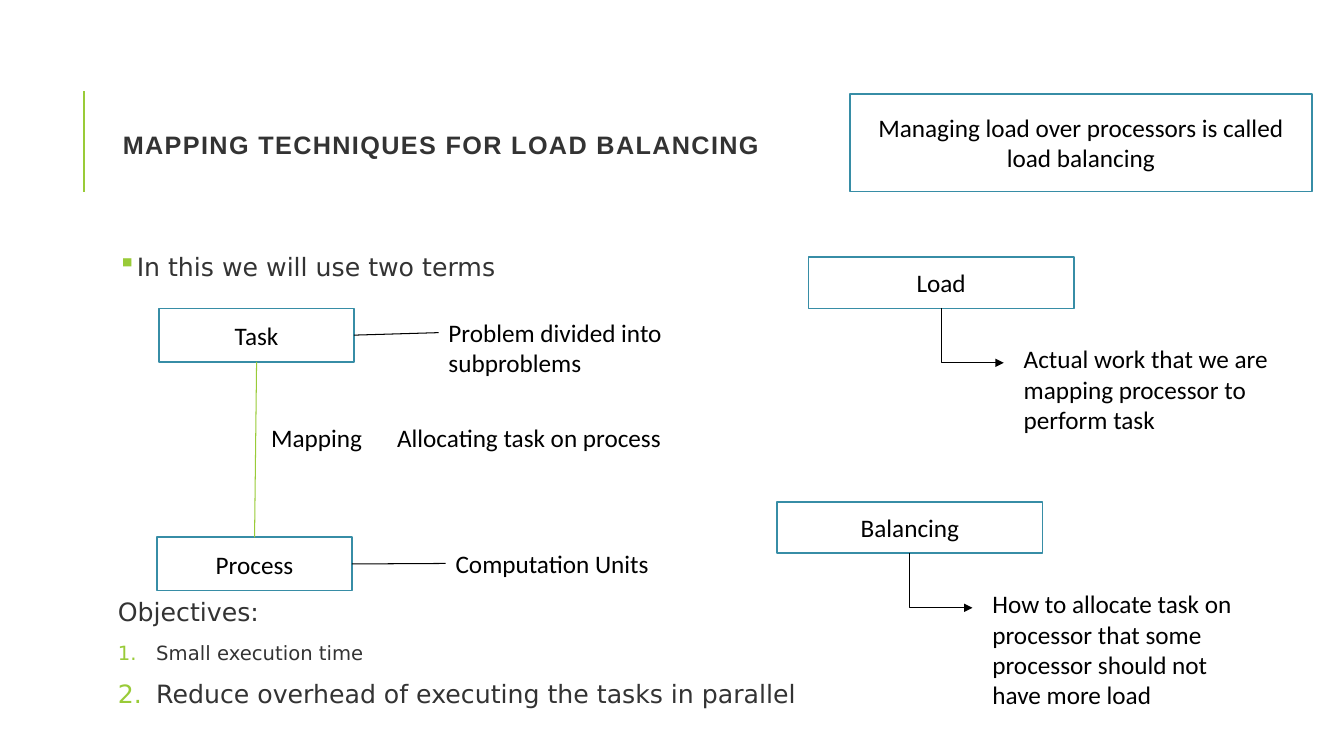
from lxml.etree import SubElement
from pptx import Presentation
from pptx.dml.color import RGBColor
from pptx.enum.shapes import MSO_CONNECTOR as Link, MSO_SHAPE as Preset
from pptx.enum.text import MSO_ANCHOR as Anchor, PP_ALIGN as Align
from pptx.oxml.ns import qn
from pptx.util import Emu, Pt

PX = 9144  # 100 px to the inch
GREEN = RGBColor(0x99, 0xCB, 0x38)
TEAL = RGBColor(0x37, 0x8D, 0xA6)
GREY = RGBColor(0x33, 0x33, 0x33)
BLACK = RGBColor(0, 0, 0)
WHITE = RGBColor(255, 255, 255)

TITLE = "MAPPING TECHNIQUES FOR LOAD BALANCING"
# text, text size, list mark, hanging indent
INTRO = [("In this we will use two terms", 18, "▪", 10)]
OBJECTIVES = [
    ("Objectives:", 18, None, 0),
    ("Small execution time", 14, "number", 38),
    ("Reduce overhead of executing the tasks in parallel", 18, "number", 38),
]
# left, top, width, height
BOXES = {
    "Task": (158, 306, 193, 53),
    "Process": (156, 533, 193, 53),
    "Load": (802, 255, 263, 51),
    "Balancing": (771, 498, 263, 51),
    "Managing load over processors is called load balancing": (843, 93, 458, 97),
}
NOTES = {
    "Mapping": (259, 414, 131, 40),
    "Problem divided into subproblems": (435, 310, 350, 40),
    "Computation Units": (442, 539, 242, 40),
    "Allocating task on process": (384, 414, 314, 40),
}
EXPLANATIONS = {
    "Load": ("Actual work that we are mapping processor to perform task", 101),
    "Balancing": ("How to allocate task on processor that some processor "
                  "should not have more load", 131),
}
# from, site, to, site, colour (sites: 1 left, 2 bottom, 3 right, 0 top)
LINKS = [
    ("Task", 2, "Process", 0, GREEN),
    ("Problem divided into subproblems", 1, "Task", 3, BLACK),
    ("Computation Units", 1, "Process", 3, BLACK),
]
ARROW_RUN, ARROW_DROP = 62, 54


def emu(*lengths):
    return [Emu(int(length * PX)) for length in lengths]


def add_span(para, text, size, font, colour):
    span = para.add_run()
    span.text = text
    span.font.size = Pt(size)
    span.font.name = font
    span.font.color.rgb = colour
    return span


def add_text_box(place):
    box = page.shapes.add_textbox(*emu(*place))
    box.text_frame.word_wrap = True
    return box


def add_note(text, place):
    box = add_text_box(place)
    add_span(box.text_frame.paragraphs[0], text, 18, "Calibri", BLACK)
    return box


def add_term(text, place):
    box = page.shapes.add_shape(Preset.RECTANGLE, *emu(*place))
    box.shadow.inherit = False
    box.fill.solid()
    box.fill.fore_color.rgb = WHITE
    box.line.color.rgb = TEAL
    box.line.width = Pt(1.25)
    frame = box.text_frame
    frame.word_wrap = True
    frame.vertical_anchor = Anchor.MIDDLE
    para = frame.paragraphs[0]
    para.alignment = Align.CENTER
    add_span(para, text, 18, "Calibri", BLACK)
    return box


def add_list(items, place):
    frame = add_text_box(place).text_frame
    frame.margin_left, frame.margin_top, frame.margin_right, frame.margin_bottom = emu(5, 5, 5, 5)
    for index, (text, size, mark, indent) in enumerate(items):
        para = frame.add_paragraph() if index else frame.paragraphs[0]
        if mark:
            props = para._p.get_or_add_pPr()
            props.set("marL", str(indent * PX))
            props.set("indent", str(-indent * PX))
            tint = SubElement(props, qn("a:buClr"))
            SubElement(tint, qn("a:srgbClr"), val=str(GREEN))
            if mark == "number":
                SubElement(props, qn("a:buFont"), typeface="+mj-lt")
                SubElement(props, qn("a:buAutoNum"), type="arabicPeriod")
            else:
                SubElement(props, qn("a:buChar"), char=mark)
        para.alignment = Align.JUSTIFY
        para.line_spacing = 0.8
        para.space_before = Pt(12 if index else 0)
        para.space_after = Pt(2)
        add_span(para, text, size, "DejaVu Sans", GREY)


def add_line(x1, y1, x2, y2, colour, width=0.75):
    line = page.shapes.add_connector(Link.STRAIGHT, *emu(x1, y1, x2, y2))
    line.line.color.rgb = colour
    line.line.width = Pt(width)
    SubElement(line._element.spPr, qn("a:effectLst"))
    return line


def add_bent_arrow(x, y):
    """Go down from (x, y), then right: a flipped elbow turned by 270 degrees."""
    mid_x, mid_y = x + ARROW_RUN / 2, y + ARROW_DROP / 2
    arrow = add_line(mid_x + ARROW_DROP / 2, mid_y - ARROW_RUN / 2,
                     mid_x - ARROW_DROP / 2, mid_y + ARROW_RUN / 2, BLACK)
    props = arrow._element.spPr
    props.find(qn("a:xfrm")).set("rot", str(270 * 60000))
    props.find(qn("a:prstGeom")).set("prst", "bentConnector2")
    SubElement(props.find(qn("a:ln")), qn("a:tailEnd"), type="triangle")


deck = Presentation()
deck.slide_width, deck.slide_height = emu(1333, 750)
page = deck.slides.add_slide(deck.slide_layouts[6])

add_line(83, 190, 83, 90, GREEN, 1.5)
title = add_text_box((112, 64, 1063, 164)).text_frame
title.vertical_anchor = Anchor.MIDDLE
title.paragraphs[0].line_spacing = 0.8
heading = add_span(title.paragraphs[0], TITLE, 18, "Arial", GREY)
heading.font.bold = True
heading._r.get_or_add_rPr().set("spc", "100")

add_list(INTRO, (112, 250, 600, 40))
add_list(OBJECTIVES, (112, 592, 840, 145))

parts = {text: add_term(text, place) for text, place in BOXES.items()}
parts.update({text: add_note(text, place) for text, place in NOTES.items()})

for start, start_site, end, end_site, colour in LINKS:
    link = add_line(0, 0, 0, 0, colour)
    link.begin_connect(parts[start], start_site)
    link.end_connect(parts[end], end_site)

for term, (text, height) in EXPLANATIONS.items():
    left, top, width, depth = BOXES[term]
    middle, bottom = left + width / 2, top + depth
    add_bent_arrow(middle, bottom)
    add_note(text, (middle + ARROW_RUN + 10, bottom + 30, 263, height))

deck.save("out.pptx")
